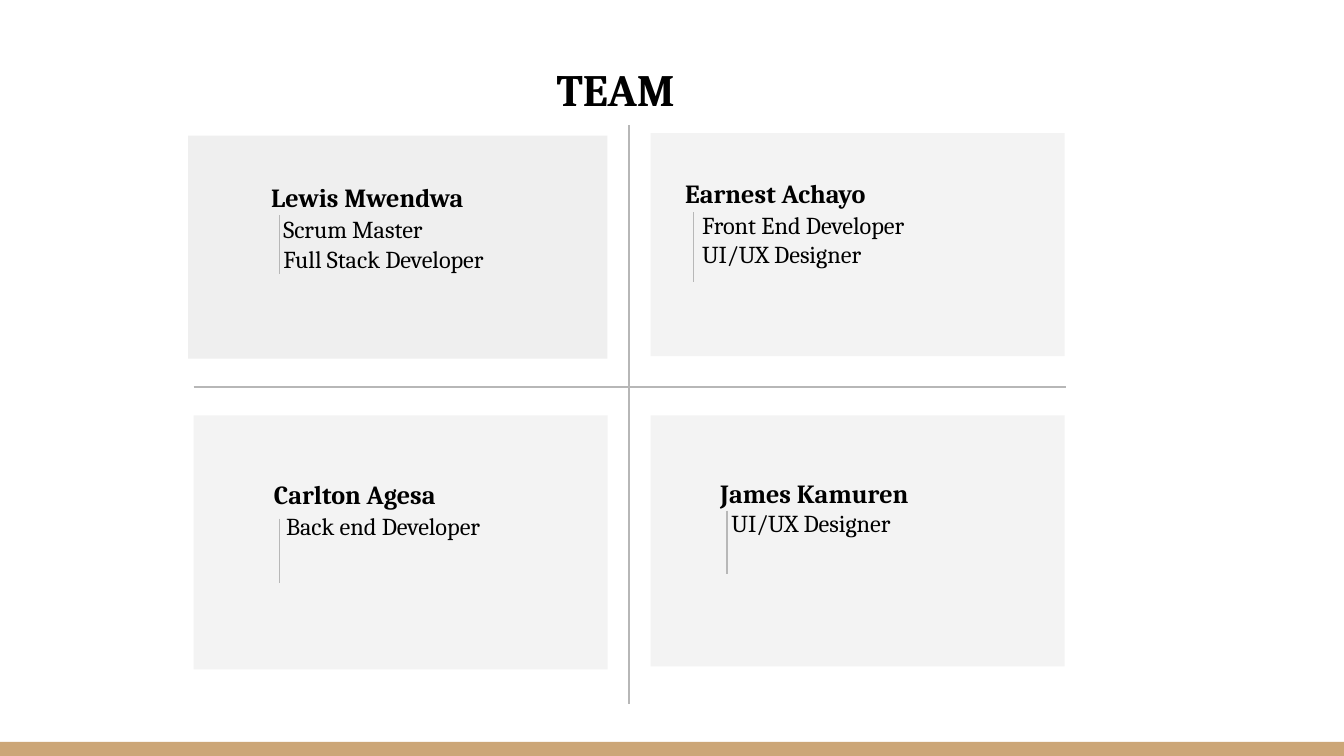
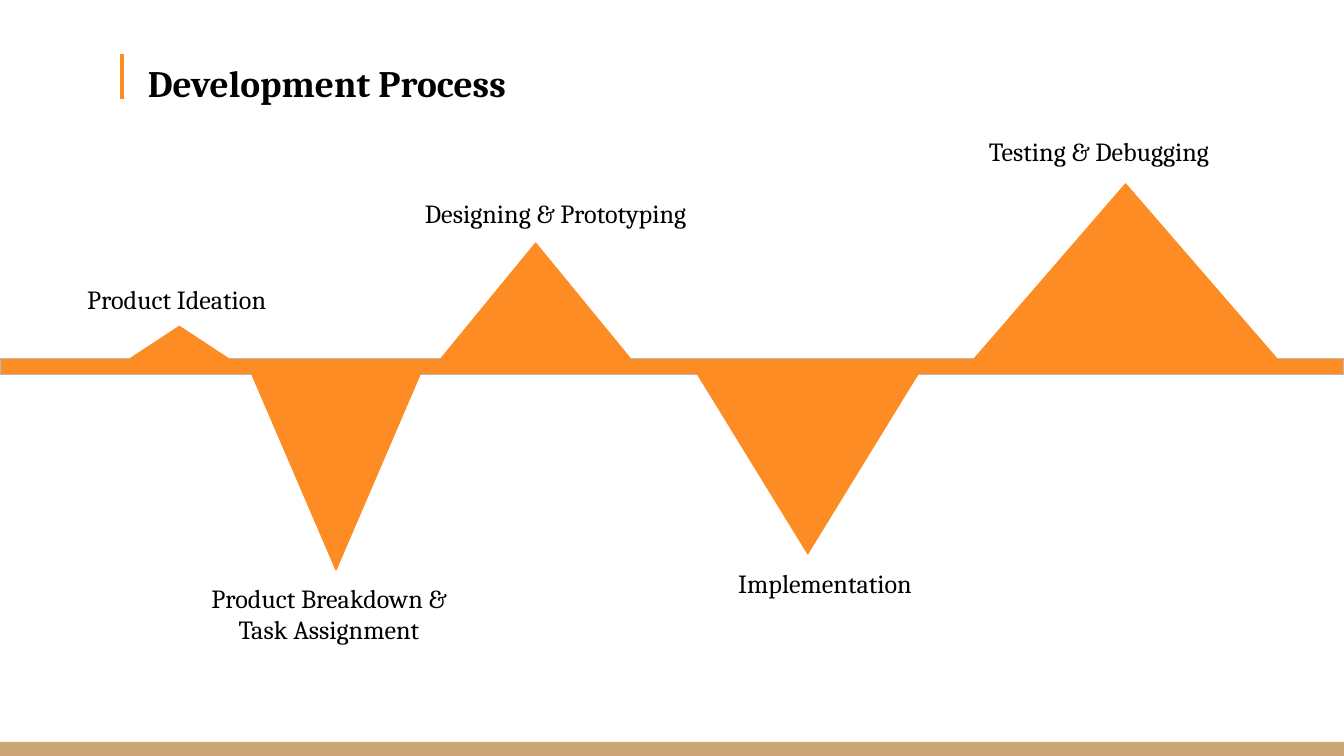
"""Builds a team grid and a development timeline, two slides."""
from lxml.etree import SubElement as Sub
from pptx import Presentation
from pptx.dml.color import RGBColor as RGB
from pptx.enum.shapes import MSO_CONNECTOR as Link, MSO_SHAPE as Kind
from pptx.enum.text import MSO_ANCHOR as Anchor, MSO_AUTO_SIZE as Fit, PP_ALIGN as Align
from pptx.oxml.ns import qn
from pptx.util import Pt

HUES = {
    "ink": "000000",
    "band": "CCA677",
    "fire": "FD8C25",
    "rule": "B7B7B7",
    "card": "F3F3F3",
    "dusk": "EFEFEF",
}
FONT = "Cambria"
WIDE, HIGH = 720, 405
INSET = 7.2
HAIR = 0.74


def hue(name):
    """Return a palette colour."""
    return RGB.from_string(HUES[name])


def write(shape, lines, size=14, bold=False, align=Align.LEFT):
    """Fill a shape with lines; a line is text or (text, overrides)."""
    frame = shape.text_frame
    frame.word_wrap = True
    frame.auto_size = Fit.NONE
    frame.vertical_anchor = Anchor.TOP
    frame.margin_left = frame.margin_right = Pt(INSET)
    frame.margin_top = frame.margin_bottom = Pt(INSET)
    for i, line in enumerate(lines):
        words, own = (line, {}) if isinstance(line, str) else line
        para = frame.add_paragraph() if i else frame.paragraphs[0]
        para.alignment = align
        para.space_before = Pt(own.get("before", 0))
        if "indent" in own:
            para._p.get_or_add_pPr().set("marL", str(Pt(own["indent"])))
        run = para.add_run()
        run.text = words
        run.font.name = FONT
        run.font.size = Pt(own.get("size", size))
        run.font.bold = own.get("bold", bold)
        run.font.color.rgb = hue("ink")


def label(slide, box, lines, **style):
    """Add a text box."""
    write(slide.shapes.add_textbox(*map(Pt, box)), lines, **style)


def title(slide, box, words, **style):
    """Place and fill the title placeholder."""
    head = slide.shapes.title
    head.left, head.top, head.width, head.height = map(Pt, box)
    write(head, [words], bold=True, **style)


def block(slide, kind, box, fill, line=None):
    """Add a flat shape."""
    shape = slide.shapes.add_shape(kind, *map(Pt, box))
    shape.shadow.inherit = False
    shape.fill.solid()
    shape.fill.fore_color.rgb = hue(fill)
    if line:
        shape.line.color.rgb = hue(line)
        shape.line.width = Pt(HAIR)
    else:
        shape.line.fill.background()
    return shape


def rule(slide, ends, color="rule", width=HAIR):
    """Add a straight line."""
    line = slide.shapes.add_connector(Link.STRAIGHT, *map(Pt, ends))
    line.line.color.rgb = hue(color)
    line.line.width = Pt(width)
    Sub(line._element.spPr, qn("a:effectLst"))


def band(slide, layout):
    """Put the footer band on the shared layout."""
    strip = block(slide, Kind.RECTANGLE, (0, 397.5, WIDE, 7.5), "band")
    layout.shapes._spTree.append(strip._element)


def member(slide, box, name, roles, text, bar, indent, lead=0, fill="card"):
    """Draw one team card with its name, roles and side rule."""
    block(slide, Kind.RECTANGLE, box, fill)
    x, y = box[0] + text[0], box[1] + text[1]
    lines = [(name, {"bold": True})]
    for i, role in enumerate(roles):
        gap = 0 if i else lead
        lines.append((role, {"size": 13, "indent": indent, "before": gap}))
    label(slide, (x, y, *text[2:]), lines)
    dx, dy, tall = bar
    rule(slide, (x + dx, y + dy, x + dx, y + dy + tall))


def team(slide, box):
    """Draw the team grid: a cross and four cards."""
    x, y, w, h = box
    title(slide, (x + 132.5, y - 41, 193, 41), "TEAM", size=24, align=Align.CENTER)
    rule(slide, (x + 236.2, y, x + 236.2, y + h))
    rule(slide, (x + 2.9, y + 140.4, x + w, y + 140.4))
    left, right, low = x + 2.9, x + 247.7, y + 155.5
    member(slide, (x, y + 5.7, 224.6, 119.5), "Lewis Mwendwa",
           ["Scrum Master", "Full Stack Developer"],
           (37.4, 17.3, 181.4, 70.6), (11.5, 25.2, 31.7), 6.5, 1, "dusk")
    member(slide, (right, y + 4.3, 221.8, 119.5), "Earnest Achayo",
           ["Front End Developer", "UI/UX Designer"],
           (11.5, 16.5, 174.2, 66.2), (11.5, 26, 37.4), 9, 1)
    member(slide, (left, low, 221.8, 136.1), "Carlton Agesa",
           ["Back end Developer"],
           (36, 26.6, 181.4, 79.2), (10.1, 28.8, 34.6), 6.5, 1)
    member(slide, (right, low, 221.8, 134.6), "James Kamuren",
           ["UI/UX Designer"],
           (30.2, 25.9, 162, 70.6), (10.8, 25.2, 33.8), 6)


def peak(slide, box, lines, text, down=False, align=Align.CENTER):
    """Draw a triangle with its label beyond the tip."""
    x, y, w, h = box
    shape = block(slide, Kind.ISOSCELES_TRIANGLE, box, "fire", "fire")
    shape.rotation = 180 if down else 0
    dx, gap, wide, tall = text
    top = y + h + gap if down else y - gap
    label(slide, (x + dx, top, wide, tall), lines, align=align)


def stages(slide, box):
    """Draw the timeline bar and its peaks above and below."""
    x, y, w, h = box
    block(slide, Kind.RECTANGLE, box, "fire", "rule")
    deep = y + 5.8
    peak(slide, (x + 69.8, y - 17.3, 52.6, 17.3), ["Product Ideation"],
         (-30.2, 30.2, 173.5, 28.8), align=Align.LEFT)
    peak(slide, (x + 133.9, deep, 92.2, 107.3),
         ["Product Breakdown &", "Task Assignment"],
         (-56.9, -0.7, 198.7, 43.9), down=True)
    peak(slide, (x + 236.2, y - 61.9, 101.5, 61.9), ["Designing & Prototyping"],
         (-51.9, 31.7, 226.8, 28.8))
    peak(slide, (x + 372.2, deep, 121, 98.6), ["Implementation"],
         (0, 0, 139.7, 33.1), down=True)
    peak(slide, (x + 522, y - 93.6, 162, 93.6), ["Testing & Debugging"],
         (0.7, 33.1, 177.1, 33.1), align=Align.LEFT)


def process(slide, box):
    """Draw the process slide: marked title and timeline."""
    x, y, w, h = box
    title(slide, (x + 72, y + 25.2, 390.2, 28.8), "Development Process", size=20)
    rule(slide, (x + 65.5, y + 28.8, x + 65.5, y + 53.3), "fire", 2.24)
    stages(slide, (x, y + 192.2, w, 8.6))


def main():
    """Build and save the deck."""
    deck = Presentation()
    deck.slide_width, deck.slide_height = Pt(WIDE), Pt(HIGH)
    layout = deck.slide_layouts[5]
    crew, flow = (deck.slides.add_slide(layout) for _ in range(2))
    band(crew, layout)
    team(crew, (100.8, 67, 470.2, 310.3))
    process(flow, (0, 0, WIDE, HIGH))
    deck.save("out.pptx")


main()
